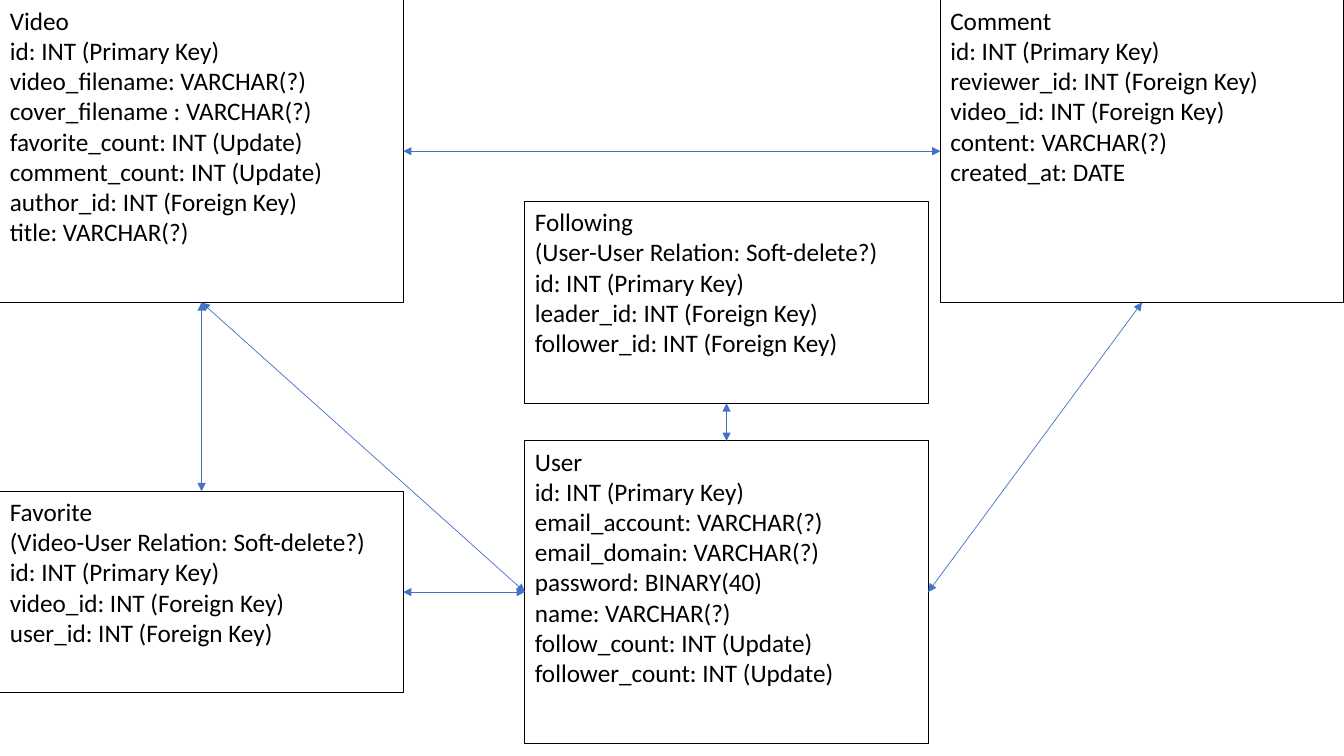
from lxml.etree import SubElement
from pptx import Presentation
from pptx.dml.color import RGBColor
from pptx.enum.shapes import MSO_CONNECTOR
from pptx.enum.text import MSO_AUTO_SIZE
from pptx.oxml.ns import qn
from pptx.util import Cm, Pt

SLIDE_WIDTH, SLIDE_HEIGHT = 33.87, 19.05
TABLE_WIDTH = 10.16
TALL, SHORT = 7.62, 5.08
LEFT, MIDDLE, RIGHT = 0, 13.23, 23.7
BLACK, BLUE = "000000", "4472C4"

# Connection sites of a rectangle
TOP_SITE, LEFT_SITE, BOTTOM_SITE, RIGHT_SITE = range(4)

# Table name: (left, top, height, lines below the name)
TABLES = {
    "Video": (LEFT, 0, TALL, [
        "id: INT (Primary Key)",
        "video_filename: VARCHAR(?)",
        "cover_filename : VARCHAR(?)",
        "favorite_count: INT (Update)",
        "comment_count: INT (Update)",
        "author_id: INT (Foreign Key)",
        "title: VARCHAR(?)",
    ]),
    "User": (MIDDLE, 11.11, TALL, [
        "id: INT (Primary Key)",
        "email_account: VARCHAR(?)",
        "email_domain: VARCHAR(?)",
        "password: BINARY(40)",
        "name: VARCHAR(?)",
        "follow_count: INT (Update)",
        "follower_count: INT (Update)",
    ]),
    "Comment": (RIGHT, 0, TALL, [
        "id: INT (Primary Key)",
        "reviewer_id: INT (Foreign Key)",
        "video_id: INT (Foreign Key)",
        "content: VARCHAR(?)",
        "created_at: DATE",
    ]),
    "Following": (MIDDLE, 5.08, SHORT, [
        "(User-User Relation: Soft-delete?)",
        "id: INT (Primary Key)",
        "leader_id: INT (Foreign Key)",
        "follower_id: INT (Foreign Key)",
    ]),
    "Favorite": (LEFT, 12.38, SHORT, [
        "(Video-User Relation: Soft-delete?)",
        "id: INT (Primary Key)",
        "video_id: INT (Foreign Key)",
        "user_id: INT (Foreign Key)",
    ]),
}

RELATIONS = [
    ("User", TOP_SITE, "Following", BOTTOM_SITE),
    ("User", RIGHT_SITE, "Comment", BOTTOM_SITE),
    ("Video", RIGHT_SITE, "Comment", LEFT_SITE),
    ("Video", BOTTOM_SITE, "User", LEFT_SITE),
    ("Video", BOTTOM_SITE, "Favorite", TOP_SITE),
    ("Favorite", RIGHT_SITE, "User", LEFT_SITE),
]


def set_line(line, color, width):
    line.color.rgb = RGBColor.from_string(color)
    line.width = Pt(width)


def add_table_box(slide, name, left, top, height, lines):
    box = slide.shapes.add_textbox(Cm(left), Cm(top), Cm(TABLE_WIDTH), Cm(height))
    set_line(box.line, BLACK, 0.75)
    frame = box.text_frame
    frame.word_wrap = True
    frame.auto_size = MSO_AUTO_SIZE.NONE
    frame.text = "\n".join([name, *lines])
    for paragraph in frame.paragraphs:
        paragraph.font.name = "Calibri"
        paragraph.font.size = Pt(18)
        paragraph.font.color.rgb = RGBColor.from_string(BLACK)
    return box


def add_relation(slide, start, start_site, end, end_site):
    connector = slide.shapes.add_connector(MSO_CONNECTOR.STRAIGHT, 0, 0, 0, 0)
    connector.begin_connect(start, start_site)
    connector.end_connect(end, end_site)
    set_line(connector.line, BLUE, 0.5)
    # Arrowheads at both ends, no shadow
    line = connector.line._get_or_add_ln()
    for end_tag in ("a:headEnd", "a:tailEnd"):
        SubElement(line, qn(end_tag), type="triangle")
    SubElement(connector._element.spPr, qn("a:effectLst"))


def main():
    presentation = Presentation()
    presentation.slide_width = Cm(SLIDE_WIDTH)
    presentation.slide_height = Cm(SLIDE_HEIGHT)
    slide = presentation.slides.add_slide(presentation.slide_layouts[6])

    # Database tables
    boxes = {name: add_table_box(slide, name, *details)
             for name, details in TABLES.items()}

    # Relations between them
    for start, start_site, end, end_site in RELATIONS:
        add_relation(slide, boxes[start], start_site, boxes[end], end_site)

    presentation.save("out.pptx")


main()
